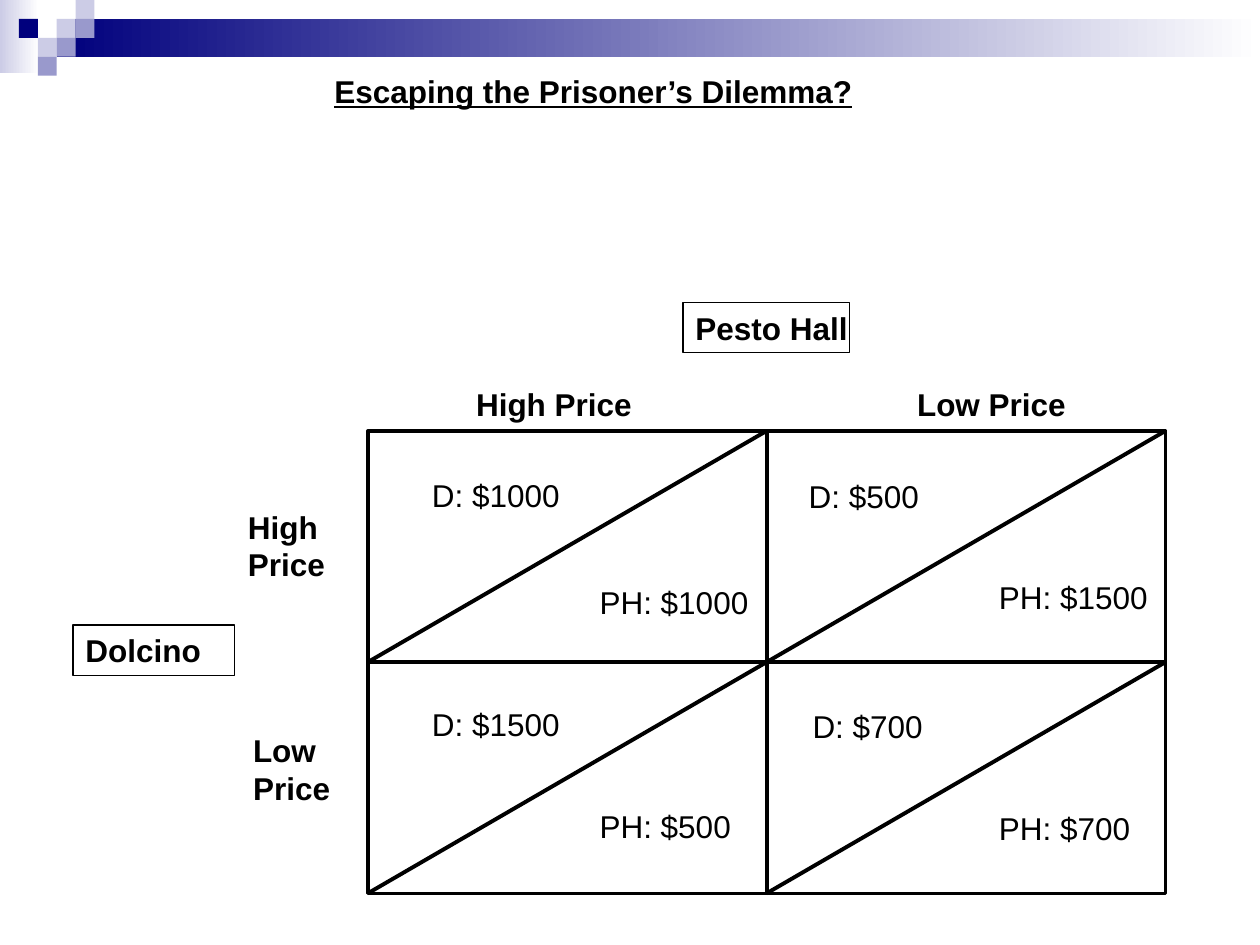
from dataclasses import dataclass
from itertools import product

from lxml.etree import SubElement
from pptx import Presentation
from pptx.dml.color import RGBColor
from pptx.enum.shapes import MSO_CONNECTOR, MSO_SHAPE
from pptx.enum.text import MSO_ANCHOR, PP_ALIGN
from pptx.oxml.ns import qn
from pptx.util import Inches, Pt


@dataclass(frozen=True)
class Theme:
    font: str = "Arial"
    size: int = 18
    ink: str = "000000"
    paper: str = "FFFFFF"
    navy: str = "00007D"
    violet: str = "9999CC"
    lilac: str = "CCCCE6"
    thin: float = 0.75
    frame: float = 2
    rule: float = 2.25


THEME = Theme()
LEFT, TOP, CELL_W, CELL_H = 2.92, 3.42, 3.165, 1.835
TILE = 0.15


def color(value):
    return RGBColor.from_string(value)


def add_rect(slide, box, fill=None, fade=None, line=None):
    sp = slide.shapes.add_shape(MSO_SHAPE.RECTANGLE, *map(Inches, box))
    sp.shadow.inherit = False
    if fade:
        sp.fill.gradient()
        sp.fill.gradient_angle = 0
        for stop, value in zip(sp.fill.gradient_stops, (fade, THEME.paper)):
            stop.color.rgb = color(value)
    elif fill:
        sp.fill.solid()
        sp.fill.fore_color.rgb = color(fill)
    else:
        sp.fill.background()
    if line:
        sp.line.color.rgb = color(THEME.ink)
        sp.line.width = Pt(line)
    else:
        sp.line.fill.background()
    return sp


def add_line(slide, start, end):
    cx = slide.shapes.add_connector(
        MSO_CONNECTOR.STRAIGHT, *map(Inches, (*start, *end)))
    cx.line.color.rgb = color(THEME.ink)
    cx.line.width = Pt(THEME.rule)
    SubElement(cx.element.spPr, qn("a:effectLst"))


def set_text(sp, text, bold=False, underline=False, wrap=False,
             align=PP_ALIGN.LEFT):
    tf = sp.text_frame
    tf.word_wrap = wrap
    tf.vertical_anchor = MSO_ANCHOR.TOP
    tf.text = text
    p = tf.paragraphs[0]
    p.alignment = align
    p.font.name = THEME.font
    p.font.size = Pt(THEME.size)
    p.font.bold = bold
    p.font.underline = underline
    p.font.color.rgb = color(THEME.ink)


def add_label(slide, box, text, bold=False, wrap=False):
    set_text(slide.shapes.add_textbox(*map(Inches, box)), text, bold, wrap=wrap)


def add_title(slide, text):
    sp = slide.shapes.title
    sp.left, sp.top, sp.width, sp.height = map(Inches, (1.42, 0.52, 6.58, 0.4))
    set_text(sp, text, bold=True, underline=True, wrap=True,
             align=PP_ALIGN.CENTER)


def add_banner(slide):
    add_rect(slide, (0, 0, 0.31, 0.58), fade=THEME.lilac)
    add_rect(slide, (0.45, 0.15, 9.55, 0.3), fade=THEME.navy)
    tiles = [(3, 1, THEME.lilac), (4, 0, THEME.lilac), (4, 1, THEME.violet),
             (2, 2, THEME.lilac), (1, 1, THEME.navy), (3, 2, THEME.violet),
             (2, 3, THEME.violet)]
    for col, row, fill in tiles:
        add_rect(slide, (col * TILE, row * TILE, TILE, TILE), fill=fill)


def add_matrix(slide):
    xs = [LEFT + i * CELL_W for i in range(3)]
    ys = [TOP + i * CELL_H for i in range(3)]
    add_rect(slide, (LEFT, TOP, 2 * CELL_W, 2 * CELL_H),
             fill=THEME.paper, line=THEME.frame)
    add_line(slide, (xs[1], ys[0]), (xs[1], ys[2]))
    add_line(slide, (xs[0], ys[1]), (xs[2], ys[1]))
    for row, col in product(range(2), repeat=2):
        add_line(slide, (xs[col], ys[row + 1]), (xs[col + 1], ys[row]))


def add_players(slide):
    for box, name in [((5.42, 2.4, 1.32, 0.4), "Pesto Hall"),
                      ((0.58, 4.96, 1.28, 0.4), "Dolcino")]:
        set_text(add_rect(slide, box, line=THEME.thin), name, bold=True)


def add_payoffs(slide):
    payoffs = [(3.33, 3.73, 1.23, "D: $1000"), (6.32, 3.74, 1.09, "D: $500"),
               (3.33, 5.55, 1.23, "D: $1500"), (6.35, 5.56, 1.09, "D: $700"),
               (4.66, 4.58, 1.39, "PH: $1000"), (4.66, 6.36, 1.25, "PH: $500"),
               (7.83, 4.54, 1.39, "PH: $1500"), (7.83, 6.37, 1.25, "PH: $700")]
    for x, y, w, text in payoffs:
        add_label(slide, (x, y, w, 0.4), text)


def add_strategies(slide):
    strategies = [("High Price", (1.87, 3.98, 0.86, 0.71), (3.68, 3.01, 1.45, 0.4)),
                  ("Low Price", (1.91, 5.75, 0.82, 0.71), (7.18, 3.01, 1.39, 0.4))]
    for text, row_box, col_box in strategies:
        add_label(slide, row_box, text, bold=True, wrap=True)
        add_label(slide, col_box, text, bold=True)


def main():
    prs = Presentation()
    prs.slide_width, prs.slide_height = Inches(10), Inches(7.5)
    slide = prs.slides.add_slide(prs.slide_layouts[5])
    add_banner(slide)
    add_title(slide, "Escaping the Prisoner’s Dilemma?")
    add_matrix(slide)
    add_players(slide)
    add_payoffs(slide)
    add_strategies(slide)
    prs.save("out.pptx")


main()
